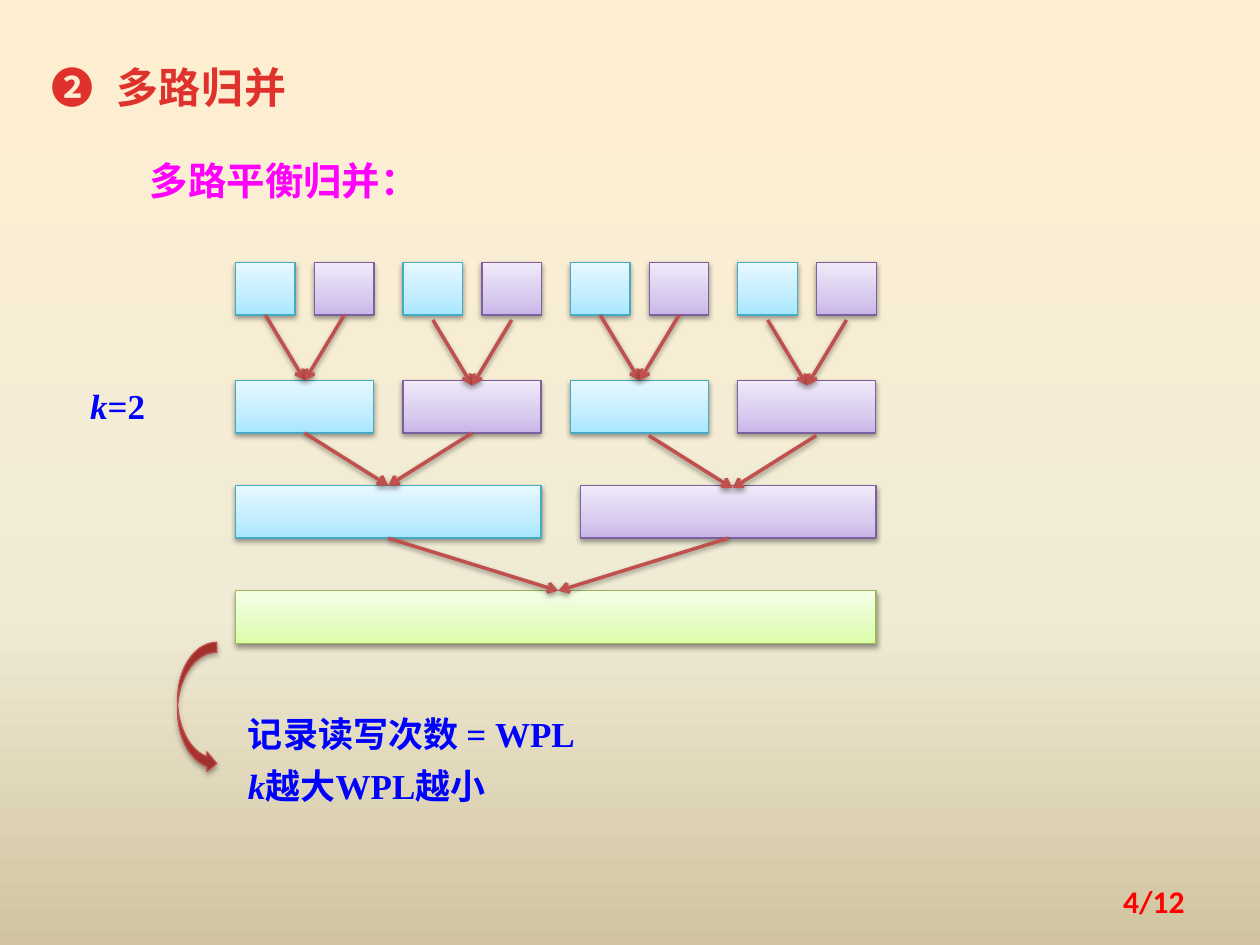
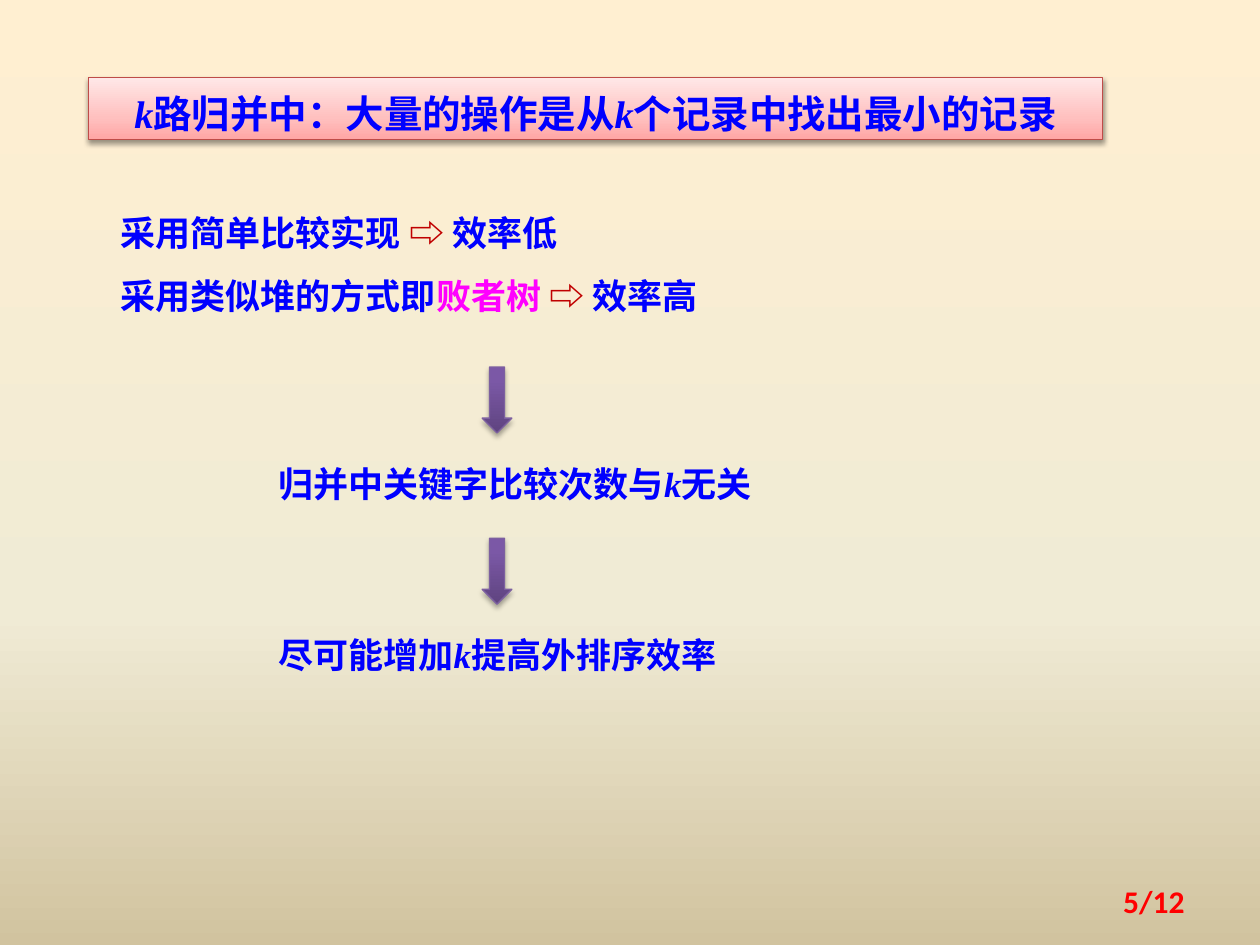
from dataclasses import dataclass
from itertools import cycle
from typing import NamedTuple

from lxml import etree
from pptx import Presentation
from pptx import util as u
from pptx.dml.color import RGBColor
from pptx.enum import shapes, text
from pptx.oxml.ns import qn

BLUE, MAGENTA, RED, DARK_RED = "0000FF", "FF00FF", "FF0000", "C00000"
TITLE_RED, ARROW_RED = "E0322D", "C0504D"
CHINESE, LATIN, NUMBER = "Noto Sans CJK SC", "Times New Roman", "Calibri"
BACKGROUND = [(0, "FFEFD1"), (65, "F0EBD5"), (100, "D1C39F")]
PAGE_COUNT = 12
BAR_HEIGHT = 1.06
TREE_LEFT = 4.75


class Run(NamedTuple):
    text: str
    color: str = BLUE
    italic: bool = False


class Box(NamedTuple):
    left: float
    top: float
    width: float
    height: float

    @property
    def center(self) -> float:
        return self.left + self.width / 2

    @property
    def bottom(self) -> float:
        return self.top + self.height

    def lengths(self) -> list:
        return [u.Cm(value) for value in self]


@dataclass(frozen=True)
class Look:
    stops: list
    line: str
    shadow_opacity: int = 38
    shadow_distance: float = 1.6


CYAN = Look([(0, "A7E6FF"), (35, "C1EDFF"), (100, "E7F8FF")], "46AAC5")
VIOLET = Look([(0, "C9B5E8"), (35, "D8CBEE"), (100, "F0EAF9")], "7D60A0")
GREEN = Look([(0, "DAFDA7"), (35, "E4FCC2"), (100, "F5FFE7")], "98B955")
PINK = Look([(0, "FFA6A5"), (35, "FFC0BF"), (100, "FFE7E7")], "BF4C48")
DEEP_RED = Look([(0, "9C2F2D"), (80, "CB3E3A"), (100, "CE3B37")], "BF4C48", 35, 1.8)
DEEP_VIOLET = Look([(0, "5F4480"), (80, "7B58A6"), (100, "7C57A8")], "7D60A0", 35, 1.8)
K = Run("k", italic=True)


def rgb(value: str) -> RGBColor:
    return RGBColor.from_string(value)


def set_gradient(fill, owner, stops: list, angle: int) -> None:
    fill.gradient()
    gradient = owner.find(".//" + qn("a:gradFill"))
    stop_list = gradient.find(qn("a:gsLst"))
    for stop in list(stop_list):
        stop_list.remove(stop)
    for position, color in stops:
        stop = etree.SubElement(stop_list, qn("a:gs"), pos=str(position * 1000))
        etree.SubElement(stop, qn("a:srgbClr"), val=color)
    gradient.find(qn("a:lin")).set("ang", str(angle * 60000))


def add_shadow(effects, opacity: int, distance: float) -> None:
    shadow = etree.SubElement(
        effects, qn("a:outerShdw"), blurRad=str(u.Pt(3.1)),
        dist=str(u.Pt(distance)), dir="5400000", rotWithShape="0")
    color = etree.SubElement(shadow, qn("a:srgbClr"), val="000000")
    etree.SubElement(color, qn("a:alpha"), val=str(opacity * 1000))


def write(frame, paragraphs: list, *, size: float = 20, font: str = LATIN,
          spacing: float | None = 30, align=None, anchor=text.MSO_ANCHOR.TOP,
          tracking: float = 0, hanging: float = 0) -> None:
    frame.word_wrap = True
    frame.vertical_anchor = anchor
    for index, runs in enumerate(paragraphs):
        paragraph = frame.paragraphs[0] if index == 0 else frame.add_paragraph()
        paragraph.alignment = align
        if spacing:
            paragraph.line_spacing = u.Pt(spacing)
        if hanging:
            properties = paragraph._p.get_or_add_pPr()
            properties.set("marL", str(u.Cm(hanging)))
            properties.set("indent", str(-u.Cm(hanging)))
        for item in runs:
            run = paragraph.add_run()
            run.text = item.text
            run.font.size = u.Pt(size)
            run.font.bold = True
            run.font.italic = item.italic
            run.font.color.rgb = rgb(item.color)
            run.font.name = font
            properties = run._r.get_or_add_rPr()
            etree.SubElement(properties, qn("a:ea"), typeface=CHINESE)
            if tracking:
                properties.set("spc", str(round(tracking * 100)))


def add_text(slide, box: Box, paragraphs: list, **style) -> None:
    write(slide.shapes.add_textbox(*box.lengths()).text_frame, paragraphs, **style)


def add_shape(slide, kind, box: Box, look: Look):
    shape = slide.shapes.add_shape(kind, *box.lengths())
    set_gradient(shape.fill, shape.element, look.stops, 270)
    shape.line.color.rgb = rgb(look.line)
    shape.line.width = u.Pt(0.75)
    shape.shadow.inherit = False
    effects = shape.element.spPr.find(qn("a:effectLst"))
    add_shadow(effects, look.shadow_opacity, look.shadow_distance)
    return shape


def add_arrow(slide, start: tuple, end: tuple) -> None:
    arrow = slide.shapes.add_connector(
        shapes.MSO_CONNECTOR.STRAIGHT, *[u.Cm(value) for value in start + end])
    arrow.line.color.rgb = rgb(ARROW_RED)
    arrow.line.width = u.Pt(2)
    properties = arrow.element.spPr
    etree.SubElement(properties.find(qn("a:ln")), qn("a:tailEnd"), type="arrow")
    add_shadow(etree.SubElement(properties, qn("a:effectLst")), 38, 1.6)


def add_bars(slide, boxes: list, looks: list) -> None:
    for box, look in zip(boxes, cycle(looks)):
        add_shape(slide, shapes.MSO_SHAPE.RECTANGLE, box, look)


def add_merge(slide, first: Box, second: Box, target: Box,
              right: float = 0, down: float = 0) -> None:
    starts = first.center + right, second.center + right
    end = sum(starts) / 2, target.top + down
    for start in starts:
        add_arrow(slide, (start, first.bottom + down), end)


def new_slide(presentation, page: int):
    slide = presentation.slides.add_slide(presentation.slide_layouts[6])
    set_gradient(slide.background.fill, slide.element, BACKGROUND, 90)
    add_text(slide, Box(18.21, 17.65, 5.92, 1.02), [[Run(f"{page}/{PAGE_COUNT}", RED)]],
             size=18, font=NUMBER, spacing=None, align=text.PP_ALIGN.RIGHT,
             anchor=text.MSO_ANCHOR.MIDDLE)
    return slide


def draw_merge_tree(slide) -> None:
    pair_lefts = [TREE_LEFT + 3.375 * index for index in range(4)]
    leaves = [Box(left + offset, 5.29, 1.2, BAR_HEIGHT)
              for left in pair_lefts for offset in (0, 1.59)]
    pairs = [Box(left, 7.67, 2.78, BAR_HEIGHT) for left in pair_lefts]
    halves = [Box(TREE_LEFT, 9.79, 6.16, BAR_HEIGHT),
              Box(11.7, 9.79, 5.96, BAR_HEIGHT)]
    whole = Box(TREE_LEFT, 11.91, 12.91, BAR_HEIGHT)
    for row in (leaves, pairs, halves):
        add_bars(slide, row, [CYAN, VIOLET])
    add_bars(slide, [whole], [GREEN])
    for index, pair in enumerate(pairs):
        add_merge(slide, *leaves[2 * index:2 * index + 2], pair, down=0.1 * (index % 2))
    for index, half in enumerate(halves):
        add_merge(slide, *pairs[2 * index:2 * index + 2], half,
                  right=0.19 * index, down=0.05 * index)
    add_merge(slide, *halves, whole)


def build_multiway_slide(presentation) -> None:
    slide = new_slide(presentation, 4)
    add_text(slide, Box(0.79, 1.07, 6.76, 1.27), [[Run("❷\t多路归并", TITLE_RED)]],
             size=24, font=CHINESE, tracking=0.5, hanging=1.3)
    add_text(slide, Box(2.77, 2.92, 5.94, 1.19), [[Run("多路平衡归并:".replace(":", "："), MAGENTA)]],
             size=22, font=CHINESE)
    draw_merge_tree(slide)
    add_text(slide, Box(1.57, 7.42, 1.98, 1.32), [[K, Run("=2")]])
    add_text(slide, Box(TREE_LEFT, 14.02, 8.53, 2.39),
             [[Run("记录读写次数 = WPL")], [K, Run("越大WPL越小")]])
    add_shape(slide, shapes.MSO_SHAPE.CURVED_RIGHT_ARROW,
              Box(3.58, 12.95, 0.79, 2.64), DEEP_RED)


def build_loser_tree_slide(presentation) -> None:
    slide = new_slide(presentation, 5)
    banner = add_shape(slide, shapes.MSO_SHAPE.RECTANGLE, Box(1.78, 1.57, 20.45, 1.24), PINK)
    write(banner.text_frame,
          [[K, Run("路归并中：大量的操作是从"), K, Run("个记录中找出最小的记录")]],
          size=22, align=text.PP_ALIGN.CENTER)
    implies = Run("⇨", DARK_RED)
    add_text(slide, Box(2.18, 3.71, 20.83, 2.82),
             [[Run("采用简单比较实现 "), implies, Run(" 效率低")],
              [Run("采用类似堆的方式即"), Run("败者树 ", MAGENTA), implies, Run(" 效率高")]],
             font=CHINESE, spacing=36)
    conclusions = [[Run("归并中关键字比较次数与"), K, Run("无关")],
                   [Run("尽可能增加"), K, Run("提高外排序效率")]]
    for index, conclusion in enumerate(conclusions):
        top = 7.4 + 3.45 * index
        add_shape(slide, shapes.MSO_SHAPE.DOWN_ARROW, Box(9.72, top, 0.6, 1.33), DEEP_VIOLET)
        add_text(slide, Box(5.36, top + 1.59, 11.3, 1.32), [conclusion])


def main() -> None:
    presentation = Presentation()
    presentation.slide_width = u.Cm(25.4)
    presentation.slide_height = u.Cm(19.05)
    build_multiway_slide(presentation)
    build_loser_tree_slide(presentation)
    presentation.save("out.pptx")


main()
